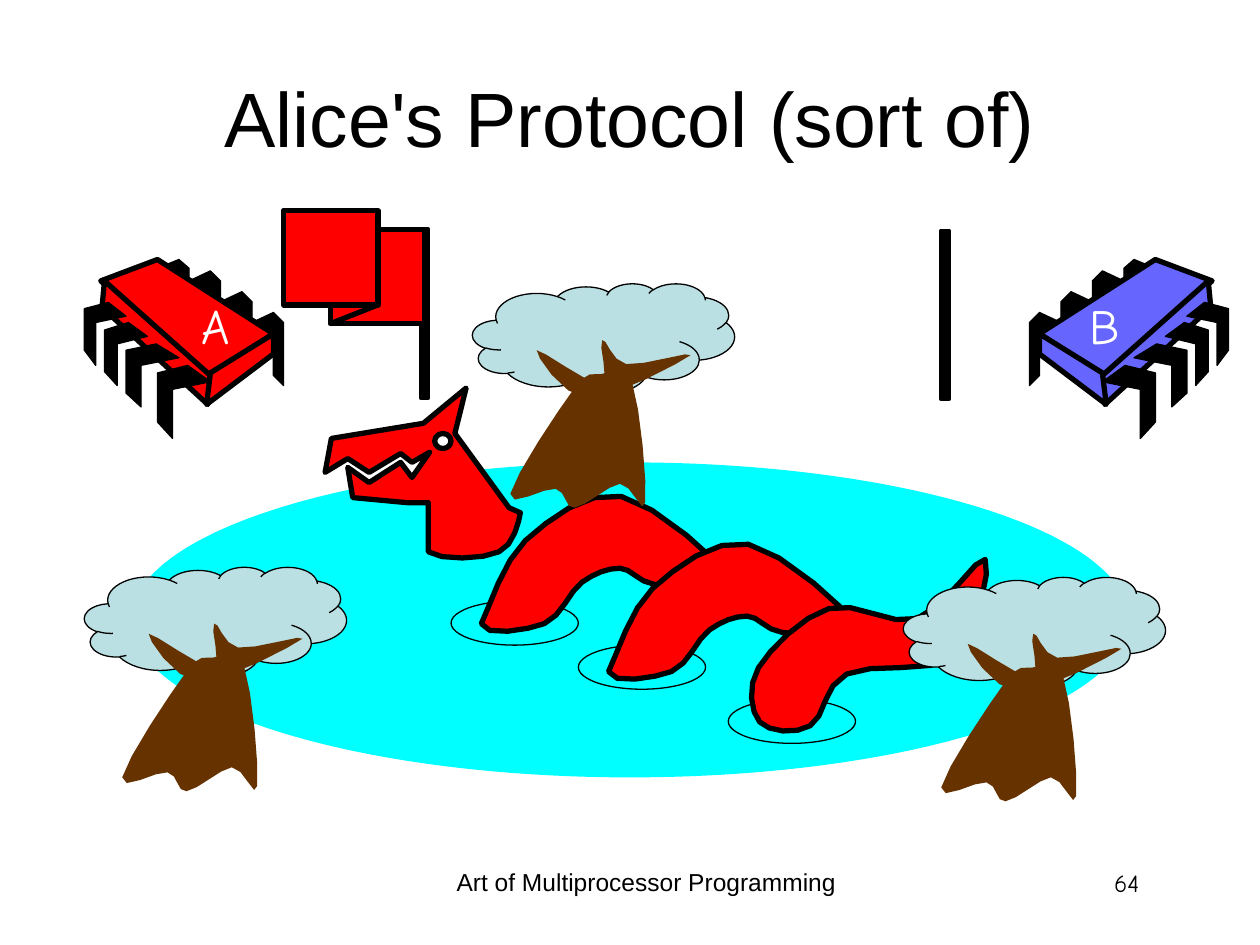
import pptx
import pptx.util
import pptx.dml.color
import pptx.enum.shapes
import pptx.enum.text
import pptx.oxml

Pt = pptx.util.Pt
RGBColor = pptx.dml.color.RGBColor
FORM = pptx.enum.shapes.MSO_SHAPE
ALIGN = pptx.enum.text.PP_ALIGN
ANCHOR = pptx.enum.text.MSO_ANCHOR

BLACK = RGBColor(0, 0, 0)
WHITE = RGBColor(255, 255, 255)
RED = RGBColor(255, 0, 0)
BLUE = RGBColor(0x66, 0x66, 0xFF)
CYAN = RGBColor(0, 255, 255)
CLOUD = RGBColor(0xBB, 0xE0, 0xE3)
BROWN = RGBColor(0x66, 0x33, 0)

UNIT = 0.72  # points per drawing unit: the slide is 1000 by 750 units
STEPS = 4  # straight pieces per curve

deck = pptx.Presentation()
deck.slide_width = Pt(1000 * UNIT)
deck.slide_height = Pt(750 * UNIT)
slide = deck.slides.add_slide(deck.slide_layouts[6])
shapes = slide.shapes


def write(text, box, size, font="Arial", color=BLACK, align=ALIGN.CENTER,
          anchor=ANCHOR.TOP, wrap=True):
    frame = shapes.add_textbox(*[Pt(n * UNIT) for n in box]).text_frame
    frame.word_wrap = wrap
    frame.vertical_anchor = anchor
    para = frame.paragraphs[0]
    para.alignment = align
    run = para.add_run()
    run.text = text
    run.font.size = Pt(size)
    run.font.name = font
    run.font.color.rgb = color


def draw(form, data, fill=None, width=0, shift=(0, 0), flip=None):
    """Draw a preset in box data or, if form is None, an outline.

    An outline holds a start point, then pairs (lines) and sixes (curves).
    With flip, each x becomes flip - x.
    """
    dx, dy = shift
    if form is None:
        dots = [data[0]]
        for seg in data[1:]:
            if len(seg) == 2:
                dots.append(seg)
                continue
            knots = [dots[-1], seg[:2], seg[2:4], seg[4:]]
            for step in range(1, STEPS + 1):
                t = step / STEPS
                parts = ((1 - t) ** 3, 3 * t * (1 - t) ** 2,
                         3 * t * t * (1 - t), t ** 3)
                dots.append([sum(w * k[i] for w, k in zip(parts, knots))
                             for i in (0, 1)])
        dots = [(x + dx, y + dy) for x, y in dots]
        if flip:
            dots = [(flip - x, y) for x, y in dots]
        dots = [(Pt(x * UNIT), Pt(y * UNIT)) for x, y in dots]
        pen = shapes.build_freeform(*dots[0])
        pen.add_line_segments(dots[1:], close=True)
        shape = pen.convert_to_shape()
    else:
        x, y, w, h = data
        shape = shapes.add_shape(
            form, *[Pt(n * UNIT) for n in (x + dx, y + dy, w, h)])
    shape.shadow.inherit = False
    if fill is None:
        shape.fill.background()
    else:
        shape.fill.solid()
        shape.fill.fore_color.rgb = fill
    if width:
        shape.line.color.rgb = BLACK
        shape.line.width = Pt(width)
    else:
        shape.line.fill.background()
    return shape


# Page number and title
write("64", (706, 684, 208, 50), 14, "Comic Neue", align=ALIGN.RIGHT)
write("Alice's Protocol (sort of)", (50, 30, 900, 125), 44,
      anchor=ANCHOR.MIDDLE)

# Two chips, the second one mirrored
back = [(200, 256), (217, 248), (225, 256), (225, 306), (217, 298),
        (217, 265), (200, 273)]
last = [(125, 213), (142, 206), (150, 213), (150, 256), (142, 249),
        (142, 221), (125, 228)]
body = [
    [(125, 206), (217, 265), (165, 299), (80, 223)],
    [(83, 223), (167, 298), (165, 321), (81, 244)],
    [(217, 265), (217, 281), (164, 321), (167, 296)],
]
front = [
    [(149, 290), (167, 303), (137, 309), (137, 348), (125, 335), (125, 296)],
    [(124, 273), (142, 284), (112, 290), (112, 323), (100, 312), (100, 278)],
    [(102, 256), (117, 267), (93, 273), (93, 306), (83, 295), (83, 262)],
    [(86, 240), (100, 251), (76, 256), (76, 290), (67, 278), (67, 245)],
]
for color, flip in ((RED, None), (BLUE, 1042)):
    for n in range(3):
        draw(None, back, BLACK, 0.75, (-25 * n, -16.5 * n), flip)
    draw(None, last, BLACK, 0.75, flip=flip)
    for side in body:
        draw(None, side, color, 3, flip=flip)
    for leg in front:
        draw(None, leg, BLACK, 0.75, flip=flip)

# Lake, then the letters on the chips
draw(FORM.OVAL, (104, 367, 792, 250), CYAN)
for name, box in (("A", (143, 230, 49, 57)), ("B", (854, 230, 45, 57))):
    write(name, box, 28, "Comic Neue", WHITE, ALIGN.RIGHT, wrap=False)

# Dragon
for x, y in ((459, 512), (578, 555), (358, 477)):
    draw(FORM.OVAL, (x, y, 101, 35), width=0.75)
hump = [(382, 495), (384, 506, 419, 500, 432, 495),
        (446, 489, 452, 469, 462, 462), (472, 455, 482, 451, 492, 451),
        (501, 451, 506, 462, 520, 464), (535, 465, 584, 472, 580, 460),
        (575, 449, 520, 399, 493, 394), (465, 389, 436, 412, 417, 429),
        (399, 446, 389, 481, 382, 495)]
for shift in ((0, 0), (101, 38)):
    draw(None, hump, RED, 3, shift)
head = [(404, 403), (361, 344), (370, 308), (336, 336), (263, 348),
        (258, 375), (276, 364), (293, 375), (318, 360), (327, 367),
        (341, 359), (327, 379), (318, 367), (293, 383), (276, 371),
        (280, 395), (323, 399), (340, 399), (340, 438),
        (349, 445, 384, 444, 396, 438), (408, 433, 412, 413, 413, 407)]
draw(None, head, RED, 3)
draw(FORM.OVAL, (345, 344, 13, 12), WHITE, 3)
tail = [(782, 444), (777, 439, 749, 485, 728, 491),
        (707, 498, 679, 476, 658, 483), (637, 489, 611, 515, 602, 530),
        (593, 545, 596, 565, 603, 573), (610, 581, 632, 583, 643, 576),
        (655, 570, 653, 544, 672, 535), (691, 525, 739, 536, 757, 521),
        (776, 505, 787, 449, 782, 444)]
draw(None, tail, RED, 3)

# Trees
trunk = [(456, 308), (468, 293, 469, 298, 477, 297),
         (484, 296, 496, 288, 502, 305), (508, 322, 514, 386, 512, 399),
         (511, 412, 501, 383, 492, 384), (483, 385, 465, 402, 456, 403),
         (448, 404, 450, 390, 441, 388), (433, 386, 403, 405, 405, 392),
         (408, 378, 444, 324, 456, 308)]
twigs = [(426, 278), (424, 280, 446, 315, 466, 316),
         (487, 317, 543, 286, 548, 282), (553, 277, 509, 291, 497, 289),
         (485, 287, 481, 267, 478, 270), (474, 272, 485, 303, 477, 305),
         (468, 306, 428, 276, 426, 278)]
for shift in ((0, 0), (342, 233), (-308, 225)):
    crown = draw(FORM.CLOUD_CALLOUT, (375, 225, 208, 87), CLOUD, 0.75, shift)
    crown.adjustments[0] = 0.018
    crown.adjustments[1] = 0.493
    for wood in (trunk, twigs):
        draw(None, wood, BROWN, shift=shift)

# Raised flag on the left, bare pole on the right
draw(FORM.RECTANGLE, (334, 182, 6, 134), BLACK, 2.25)
draw(FORM.RECTANGLE, (262, 182, 75, 75), RED, 3)
fold = shapes.add_connector(
    pptx.enum.shapes.MSO_CONNECTOR.STRAIGHT,
    *[Pt(n * UNIT) for n in (262, 257, 300, 242)])
fold.line.color.rgb = BLACK
fold.line.width = Pt(3)
fold._element.spPr.append(pptx.oxml.parse_xml(
    '<a:effectLst xmlns:a='
    '"http://schemas.openxmlformats.org/drawingml/2006/main"/>'))
draw(FORM.RECTANGLE, (225, 167, 75, 75), RED, 3)
draw(FORM.RECTANGLE, (747, 183, 6, 134), BLACK, 2.25)

write("Art of Multiprocessor Programming", (342, 683, 342, 52), 14)

deck.save("out.pptx")
